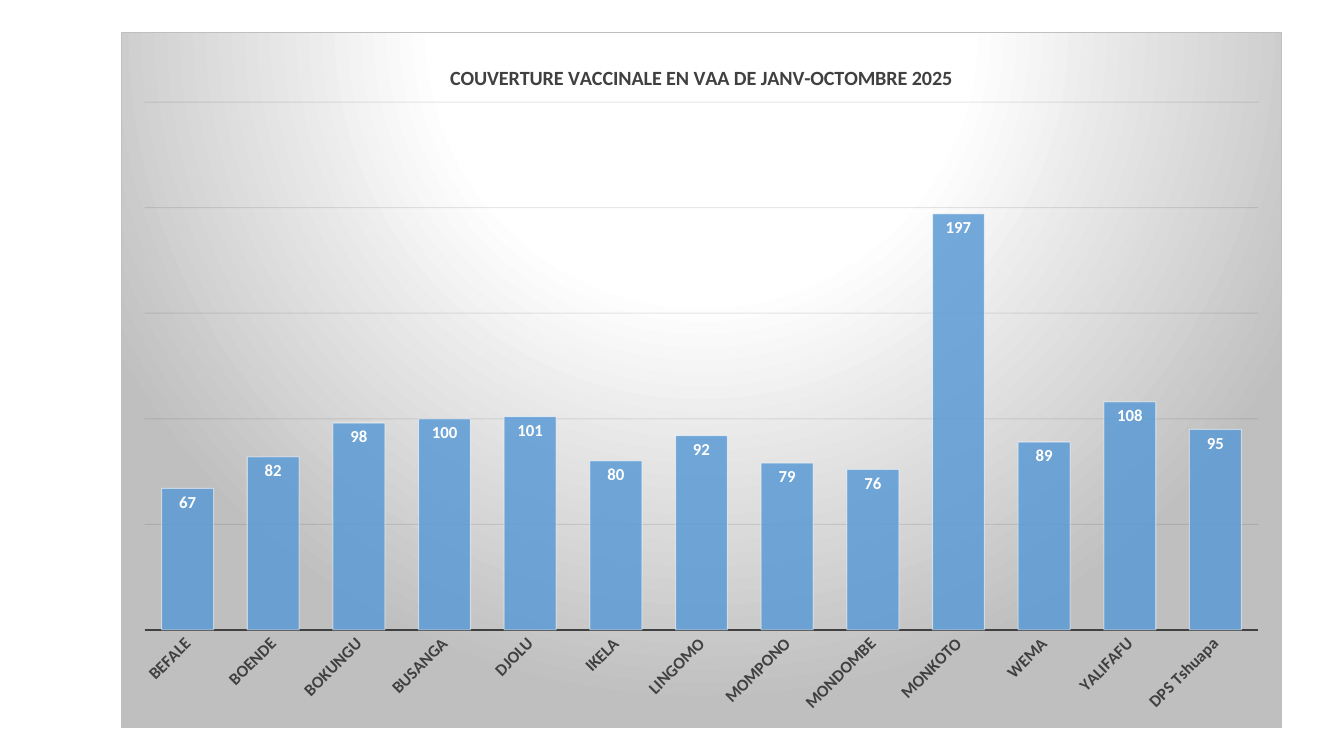
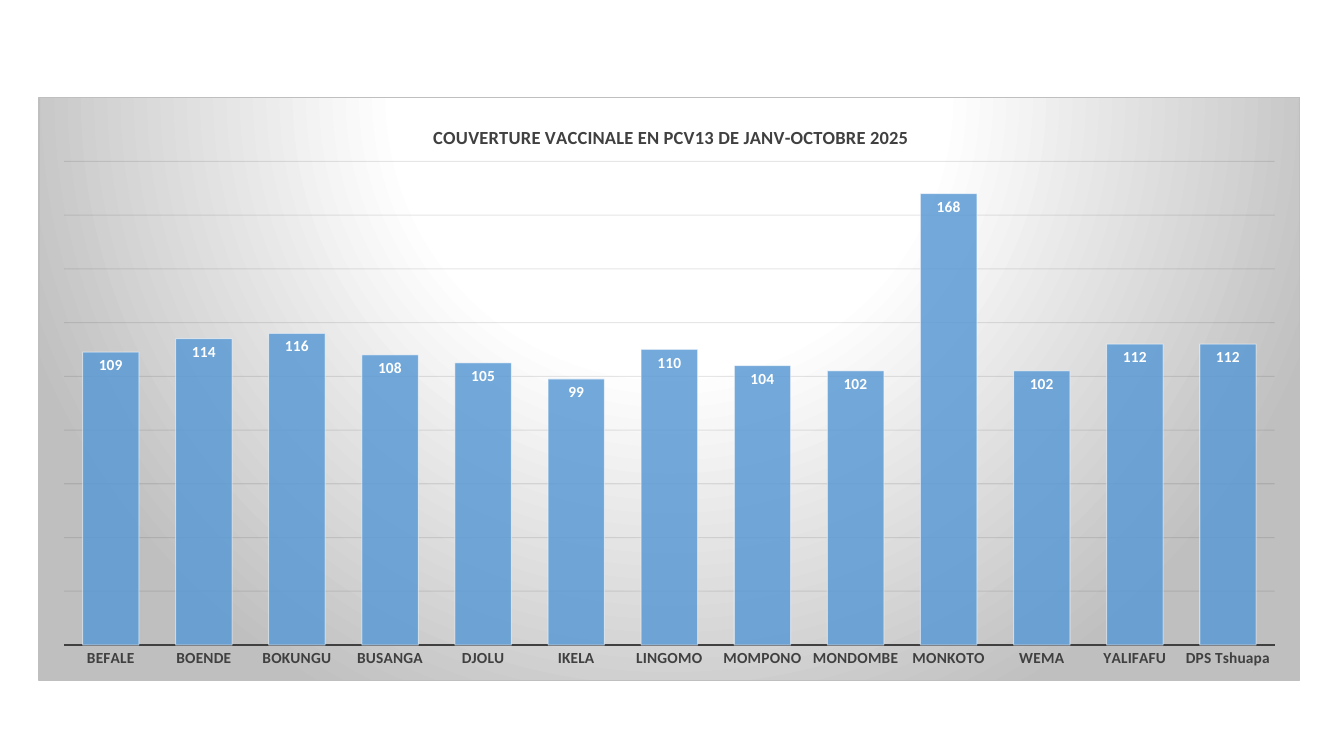
import pptx
import pptx.util
import pptx.chart.data
import pptx.dml.color
import pptx.enum.chart
import pptx.oxml
from pptx.oxml.ns import nsdecls

Cm, Pt = pptx.util.Cm, pptx.util.Pt
ENUM = pptx.enum.chart

# Shared look
FONT = "Calibri"
BLUE, DARK, GREY, WHITE, GRID = "5B9BD5", "404040", "BFBFBF", "FFFFFF", "0D0D0D"
ZONES = ["BEFALE", "BOENDE", "BOKUNGU", "BUSANGA", "DJOLU", "IKELA", "LINGOMO",
         "MOMPONO", "MONDOMBE", "MONKOTO", "WEMA", "YALIFAFU", "DPS Tshuapa"]

# One entry per slide: box in cm, title and plot as fractions of the chart
SLIDES = [
    dict(title="COUVERTURE VACCINALE EN VAA DE JANV-OCTOMBRE 2025",
         box=(3.05, 0.81, 29.26, 17.53), size=12, top=250, step=50, turn=-45,
         head=dict(x=0.28, y=0.04), plot=dict(x=0.02, y=0.1, w=0.96, h=0.76),
         vals=(67, 82, 98, 100, 101, 80, 92, 79, 76, 197, 89, 108, 95)),
    dict(title="COUVERTURE VACCINALE EN PCV13 DE JANV-OCTOBRE 2025",
         box=(0.97, 2.44, 31.8, 14.71), size=11, top=180, step=20, turn=0,
         head=dict(x=0.31, y=0.04), plot=dict(x=0.02, y=0.11, w=0.96, h=0.83),
         vals=(109, 114, 116, 108, 105, 99, 110, 104, 102, 168, 102, 112, 112)),
]


def color(code):
    return pptx.dml.color.RGBColor.from_string(code)


def style(font, size, code):
    for key, value in dict(name=FONT, size=Pt(size), bold=True).items():
        setattr(font, key, value)
    font.color.rgb = color(code)


def stroke(line, code, width=0.75):
    line.color.rgb = color(code)
    line.width = Pt(width)


def fade(node, query, percent):
    """Make the colours found by the query partly transparent."""
    for item in node.xpath(query):
        item.append(pptx.oxml.parse_xml(
            f'<a:alpha {nsdecls("a")} val="{percent * 1000}"/>'))


def place(node, index, spots):
    """Give a chart part a fixed place, in fractions of the chart."""
    for old in node.xpath("c:layout"):
        node.remove(old)
    inner = '<c:layoutTarget val="inner"/>' if "w" in spots else ""
    modes = "".join(f'<c:{k}Mode val="edge"/>' for k in "xy")
    sizes = "".join(f'<c:{k} val="{v}"/>' for k, v in spots.items())
    node.insert(index, pptx.oxml.parse_xml(
        f'<c:layout {nsdecls("c")}><c:manualLayout>{inner}{modes}{sizes}'
        '</c:manualLayout></c:layout>'))


def backdrop(chart):
    """Fill the chart area with a round gradient and a thin border."""
    stops = "".join(f'<a:gs pos="{p * 1000}"><a:srgbClr val="{c}"/></a:gs>'
                    for p, c in ((0, WHITE), (39, WHITE), (100, GREY)))
    area = pptx.oxml.parse_xml(
        f'<c:spPr {nsdecls("c", "a")}><a:gradFill><a:gsLst>{stops}</a:gsLst>'
        '<a:path path="circle"><a:fillToRect l="50000" t="-80000" r="50000" '
        f'b="180000"/></a:path></a:gradFill><a:ln w="{Pt(0.75)}"><a:solidFill>'
        f'<a:srgbClr val="{GREY}"/></a:solidFill></a:ln></c:spPr>')
    chart._chartSpace.xpath("c:chart")[0].addnext(area)


def heading(chart, text, size, spots):
    frame = chart.chart_title.text_frame
    frame.text = text
    style(frame.paragraphs[0].runs[0].font, size, DARK)
    place(chart.chart_title._element, 1, spots)


def axes(chart, size, top, step, turn):
    # Zone names
    cat = chart.category_axis
    cat.major_tick_mark = cat.minor_tick_mark = ENUM.XL_TICK_MARK.NONE
    style(cat.tick_labels.font, size, DARK)
    cat._element.xpath("c:txPr/a:bodyPr")[0].set("rot", str(turn * 60000))
    stroke(cat.format.line, DARK, 1.5)
    # Hidden scale with faint gridlines
    val = chart.value_axis
    for key, value in dict(visible=False, minimum_scale=0, maximum_scale=top,
                           major_unit=step, has_major_gridlines=True).items():
        setattr(val, key, value)
    stroke(val.major_gridlines.format.line, GRID)
    fade(val._element, "c:majorGridlines//a:srgbClr", 10)


def bars(chart, size):
    plot = chart.plots[0]
    plot.gap_width = 65
    plot.vary_by_categories = False
    row = plot.series[0]
    row.format.fill.solid()
    row.format.fill.fore_color.rgb = color(BLUE)
    stroke(row.format.line, WHITE)
    fade(row._element, "c:spPr/a:solidFill/a:srgbClr", 85)
    fade(row._element, "c:spPr/a:ln//a:srgbClr", 50)
    tags = row.data_labels
    for key, value in dict(show_value=True, number_format="0",
                           number_format_is_linked=False,
                           position=ENUM.XL_LABEL_POSITION.INSIDE_END).items():
        setattr(tags, key, value)
    style(tags.font, size, WHITE)


def cover(slide, title, box, size, top, step, turn, head, plot, vals):
    """Draw one coverage chart in its box."""
    data = pptx.chart.data.CategoryChartData(number_format="0")
    data.categories = ZONES
    data.add_series("Series 1", vals)
    chart = slide.shapes.add_chart(ENUM.XL_CHART_TYPE.COLUMN_CLUSTERED,
                                   *map(Cm, box), data).chart
    chart.has_legend = False
    style(chart.font, size, "000000")
    backdrop(chart)
    heading(chart, title, size * 1.2, head)
    axes(chart, size, top, step, turn)
    bars(chart, size)
    place(chart._chartSpace.xpath("c:chart/c:plotArea")[0], 0, plot)


def main():
    deck = pptx.Presentation()
    deck.slide_width, deck.slide_height = Cm(33.87), Cm(19.05)
    for facts in SLIDES:
        cover(deck.slides.add_slide(deck.slide_layouts[6]), **facts)
    deck.save("out.pptx")


if __name__ == "__main__":
    main()
